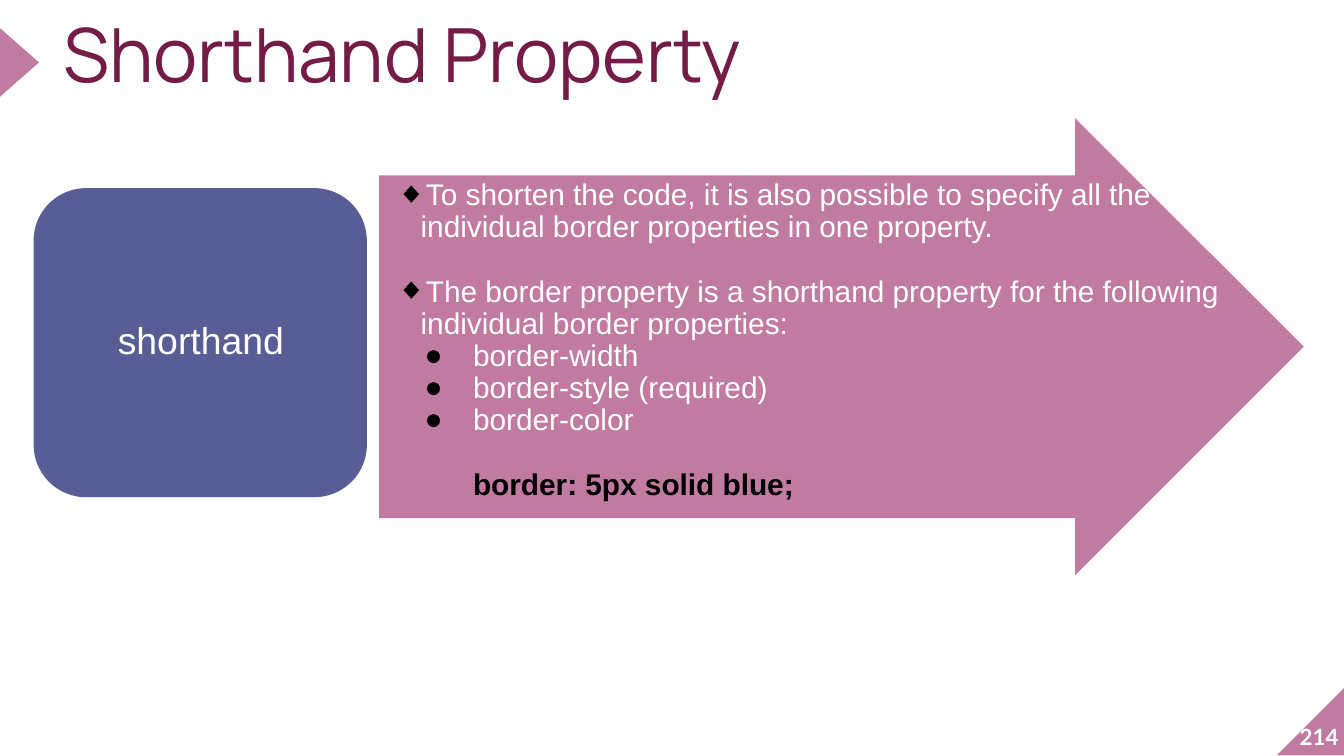
import dataclasses
import typing

import lxml.etree
import pptx
import pptx.dml.color
import pptx.enum.shapes
import pptx.enum.text
import pptx.oxml.ns
import pptx.util

COLS, ROWS = 100, 56.25
CELL = 0.1
HUES = {"rose": "C27BA0", "plum": "741B47", "slate": "585E95",
        "white": "FFFFFF", "black": "000000"}
KIND = pptx.enum.shapes.MSO_SHAPE
ALIGN = pptx.enum.text.PP_ALIGN
ANCHOR = pptx.enum.text.MSO_ANCHOR


class Area(typing.NamedTuple):
    col: float
    row: float
    wide: float
    high: float


@dataclasses.dataclass
class Block:
    kind: KIND
    area: Area
    hue: str
    adjust: tuple = ()
    turn: float = 0
    flip: bool = False


@dataclasses.dataclass
class Run:
    text: str
    size: float
    hue: str = "white"
    face: str = "Arial"
    bold: bool = False


@dataclasses.dataclass
class Para:
    runs: list[Run]
    align: ALIGN = ALIGN.LEFT
    line: float = 0.9
    gap: float = 0
    level: int = 0
    margin: float = 0
    indent: float = 0
    mark: str = ""


@dataclasses.dataclass
class Label:
    area: Area
    paras: list[Para]
    anchor: ANCHOR = ANCHOR.MIDDLE
    pad: tuple = (0, 0, 0, 0)


def span(cells: float) -> int:
    return pptx.util.Inches(cells * CELL)


def place(area: Area) -> list[int]:
    return [span(cells) for cells in area]


def color(name: str) -> pptx.dml.color.RGBColor:
    return pptx.dml.color.RGBColor.from_string(HUES[name])


def draw_block(slide, block: Block) -> None:
    shape = slide.shapes.add_shape(block.kind, *place(block.area))
    shape.shadow.inherit = False
    shape.fill.solid()
    shape.fill.fore_color.rgb = color(block.hue)
    shape.line.fill.background()
    shape.rotation = block.turn
    for index, value in enumerate(block.adjust):
        shape.adjustments[index] = value
    if block.flip:
        shape._element.spPr.xfrm.set("flipH", "1")


def set_mark(props, mark: str) -> None:
    tag = pptx.oxml.ns.qn
    tint = lxml.etree.SubElement(props, tag("a:buClr"))
    lxml.etree.SubElement(tint, tag("a:srgbClr"), val=HUES["black"])
    lxml.etree.SubElement(props, tag("a:buFont"), typeface="Arial")
    lxml.etree.SubElement(props, tag("a:buChar"), char=mark)


def fill_para(para, data: Para) -> None:
    props = para._p.get_or_add_pPr()
    props.set("marL", str(span(data.margin)))
    props.set("indent", str(span(data.indent)))
    if data.mark:
        set_mark(props, data.mark)
    para.level = data.level
    para.alignment = data.align
    para.line_spacing = data.line
    if data.gap:
        para.space_before = pptx.util.Pt(data.gap)
    for item in data.runs:
        run = para.add_run()
        run.text = item.text
        run.font.name = item.face
        run.font.size = pptx.util.Pt(item.size)
        run.font.bold = item.bold
        run.font.color.rgb = color(item.hue)


def draw_label(slide, label: Label) -> None:
    frame = slide.shapes.add_textbox(*place(label.area)).text_frame
    frame.word_wrap = True
    frame.vertical_anchor = label.anchor
    (frame.margin_left, frame.margin_top,
     frame.margin_right, frame.margin_bottom) = [span(side) for side in label.pad]
    for index, data in enumerate(label.paras):
        para = frame.add_paragraph() if index else frame.paragraphs[0]
        fill_para(para, data)


def point(text: str, gap: float = 0) -> Para:
    return Para([Run(text, 16)], gap=gap, level=1, margin=3, indent=-1.8, mark="◆")


def item(text: str) -> Para:
    return Para([Run(text, 16)], level=2, margin=6.9, indent=-3.6, mark="●")


GAP = 17.3
BLOCKS = [
    Block(KIND.ISOSCELES_TRIANGLE, Area(-1.1, 3.2, 5.1, 2.9), "rose", (0.5,), turn=90),
    Block(KIND.RIGHT_TRIANGLE, Area(95, 51.1, 5.1, 5.1), "rose", flip=True),
    Block(KIND.RIGHT_ARROW, Area(28.2, 8.8, 68.8, 34), "rose", (0.75, 0.5)),
    Block(KIND.ROUNDED_RECTANGLE, Area(2.5, 14, 24.8, 23), "slate", (0.17,)),
]
LABELS = [
    Label(Area(94.6, 50.7, 5, 5.1),
          [Para([Run("214", 12, face="Lato", bold=True)], ALIGN.RIGHT, 1)],
          ANCHOR.BOTTOM),
    Label(Area(4.7, 1.9, 61.7, 6.9),
          [Para([Run("Shorthand Property", 40, "plum", "Manrope")], line=0.8)],
          ANCHOR.TOP),
    Label(Area(2.9, 15.1, 24.1, 20.8),
          [Para([Run("shorthand", 20)], ALIGN.CENTER)],
          pad=(0.8, 0.4, 0.8, 0.4)),
    Label(Area(28.2, 13.8, 66.6, 25.5), [
        point("To shorten the code, it is also possible to specify all the "
              "individual border properties in one property."),
        point("The border property is a shorthand property for the following "
              "individual border properties:", GAP),
        item("border-width"),
        item("border-style (required)"),
        item("border-color"),
        Para([Run("border: 5px solid blue;", 16, "black", bold=True)],
             gap=GAP, margin=6.9),
    ], pad=(0.1, 0.1, 0.1, 2.5)),
]


def main() -> None:
    deck = pptx.Presentation()
    deck.slide_width, deck.slide_height = span(COLS), span(ROWS)
    slide = deck.slides.add_slide(deck.slide_layouts[6])
    for block in BLOCKS:
        draw_block(slide, block)
    for label in LABELS:
        draw_label(slide, label)
    deck.save("out.pptx")


if __name__ == "__main__":
    main()
